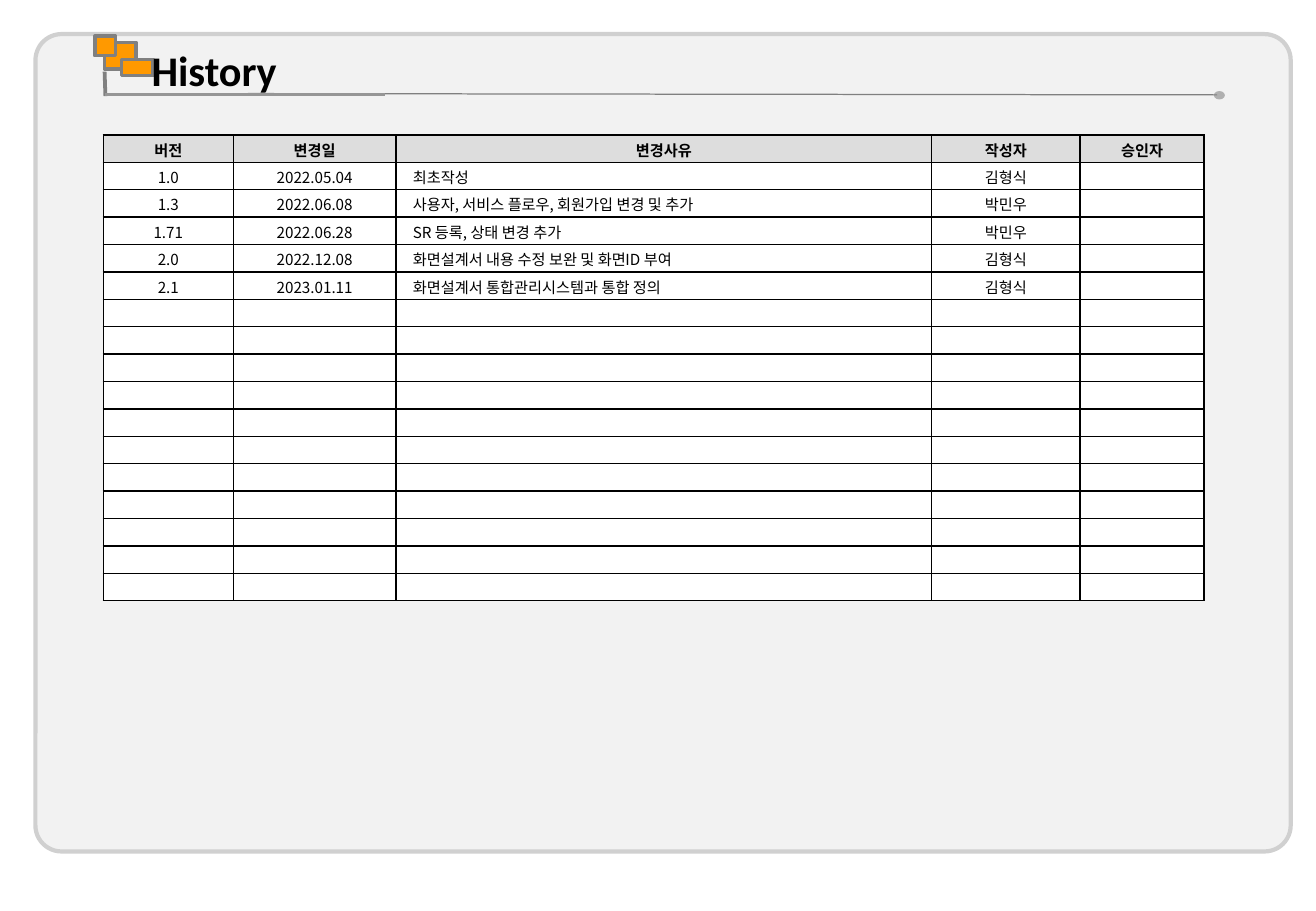
from dataclasses import dataclass

import lxml.etree
import pptx
import pptx.dml.color
import pptx.enum.shapes
import pptx.enum.text
import pptx.oxml.ns
import pptx.util

Pt = pptx.util.Pt
Shape = pptx.enum.shapes.MSO_SHAPE
Align = pptx.enum.text.PP_ALIGN
qualified = pptx.oxml.ns.qn

TABLE_FONT = "Noto Sans CJK KR"
TABLE_SIZE = 9
ROW_COUNT = 17
ROW_HEIGHT = 16.25
COLUMN_WIDTHS = (77, 96.5, 317.5, 88, 73.5)
REASON_COLUMN = 2
HEADINGS = ("버전", "변경일", "변경사유", "작성자", "승인자")


@dataclass(frozen=True)
class Block:
    kind: int
    left: float
    top: float
    width: float
    height: float
    fill: str
    line: str = ""
    weight: float = 0
    rounding: float = 0


@dataclass(frozen=True)
class Rule:
    start: tuple[float, float]
    end: tuple[float, float]
    color: str
    weight: float


@dataclass(frozen=True)
class Revision:
    version: str
    date: str
    reason: str
    author: str
    approver: str = ""

    def values(self) -> tuple[str, ...]:
        return self.version, self.date, self.reason, self.author, self.approver


def orange_tile(left: float, top: float, width: float, height: float) -> Block:
    return Block(Shape.RECTANGLE, left, top, width, height, "FF9900", "808080", 2.25)


BLOCKS = (
    Block(Shape.ROUNDED_RECTANGLE, 21, 20.25, 744, 484.5, "F2F2F2", "D0D0D0", 2.5, 0.032),
    Block(Shape.OVAL, 719.5, 54, 6.5, 5, "B0B0B0"),
    orange_tile(62, 25.25, 18.75, 15.75),
    orange_tile(72, 35.25, 18.75, 9.5),
    orange_tile(56.25, 21.5, 12.25, 11.5),
)

RULES = (
    Rule((62, 42.5), (62.5, 57), "808080", 2.25),
    Rule((147, 55.5), (721.5, 56.25), "808080", 0.75),
    Rule((62.5, 56), (228.25, 56), "969696", 2.25),
)

REVISIONS = (
    Revision("1.0", "2022.05.04", "최초작성", "김형식"),
    Revision("1.3", "2022.06.08", "사용자, 서비스 플로우, 회원가입 변경 및 추가", "박민우"),
    Revision("1.71", "2022.06.28", "SR 등록, 상태 변경 추가", "박민우"),
    Revision("2.0", "2022.12.08", "화면설계서 내용 수정 보완 및 화면ID 부여", "김형식"),
    Revision("2.1", "2023.01.11", "화면설계서 통합관리시스템과 통합 정의", "김형식"),
)


def color_of(value: str) -> pptx.dml.color.RGBColor:
    return pptx.dml.color.RGBColor.from_string(value)


def paint(fill, color: str) -> None:
    fill.solid()
    fill.fore_color.rgb = color_of(color)


def add_block(page, block: Block) -> None:
    shape = page.shapes.add_shape(
        block.kind, Pt(block.left), Pt(block.top), Pt(block.width), Pt(block.height)
    )
    shape.shadow.inherit = False
    if block.rounding:
        shape.adjustments[0] = block.rounding
    paint(shape.fill, block.fill)
    if block.line:
        paint(shape.line.fill, block.line)
        shape.line.width = Pt(block.weight)
    else:
        shape.line.fill.background()


def add_rule(page, rule: Rule) -> None:
    connector = page.shapes.add_connector(
        pptx.enum.shapes.MSO_CONNECTOR.STRAIGHT, *map(Pt, rule.start + rule.end)
    )
    paint(connector.line.fill, rule.color)
    connector.line.width = Pt(rule.weight)
    lxml.etree.SubElement(connector._element.spPr, qualified("a:effectLst"))


def add_span(para, text: str, font: str, size: float, bold: bool) -> None:
    span = para.add_run()
    span.text = text
    span.font.name = font
    span.font.size = Pt(size)
    span.font.bold = bold
    span.font.color.rgb = color_of("000000")
    east_asian = lxml.etree.SubElement(span._r.get_or_add_rPr(), qualified("a:ea"))
    east_asian.set("typeface", font)


def add_title(page) -> None:
    box = page.shapes.add_textbox(Pt(82.75), Pt(23), Pt(162.75), Pt(37.5))
    box.text_frame.word_wrap = True
    add_span(box.text_frame.paragraphs[0], "History", "Calibri", 25, True)


def add_borders(cell) -> None:
    properties = cell._tc.get_or_add_tcPr()
    for side in ("lnL", "lnR", "lnT", "lnB"):
        border = lxml.etree.SubElement(properties, qualified(f"a:{side}"), w=str(Pt(1)))
        fill = lxml.etree.SubElement(border, qualified("a:solidFill"))
        lxml.etree.SubElement(fill, qualified("a:srgbClr"), val="000000")


def fill_cell(cell, text: str, heading: bool, align) -> None:
    cell.margin_left = cell.margin_right = Pt(10)
    cell.margin_top, cell.margin_bottom = Pt(2), Pt(1)
    cell.vertical_anchor = pptx.enum.text.MSO_ANCHOR.MIDDLE
    add_borders(cell)
    paint(cell.fill, "DDDDDD" if heading else "FFFFFF")
    para = cell.text_frame.paragraphs[0]
    para.alignment = align
    if text:
        add_span(para, text, TABLE_FONT, TABLE_SIZE, heading)
    else:
        # The end mark sets the height of an empty cell
        lxml.etree.SubElement(para._p, qualified("a:endParaRPr"), sz=str(TABLE_SIZE * 100))


def add_history(page) -> None:
    table = page.shapes.add_table(
        ROW_COUNT, len(COLUMN_WIDTHS), Pt(61.25), Pt(80),
        Pt(sum(COLUMN_WIDTHS)), Pt(ROW_COUNT * ROW_HEIGHT),
    ).table
    table.first_row = table.horz_banding = False
    for column, width in zip(table.columns, COLUMN_WIDTHS):
        column.width = Pt(width)
    rows = [HEADINGS] + [revision.values() for revision in REVISIONS]
    rows += [("",) * len(HEADINGS)] * (ROW_COUNT - len(rows))
    for row_index, values in enumerate(rows):
        table.rows[row_index].height = Pt(ROW_HEIGHT)
        heading = row_index == 0
        for column_index, text in enumerate(values):
            centred = heading or column_index != REASON_COLUMN
            align = Align.CENTER if centred else Align.LEFT
            fill_cell(table.cell(row_index, column_index), text, heading, align)


def main() -> None:
    deck = pptx.Presentation()
    deck.slide_width, deck.slide_height = Pt(780), Pt(540)
    page = deck.slides.add_slide(deck.slide_layouts[6])

    # Panel and title ornament
    for block in BLOCKS:
        add_block(page, block)
    for rule in RULES:
        add_rule(page, rule)

    # Title and revision table
    add_title(page)
    add_history(page)
    deck.save("out.pptx")


if __name__ == "__main__":
    main()
